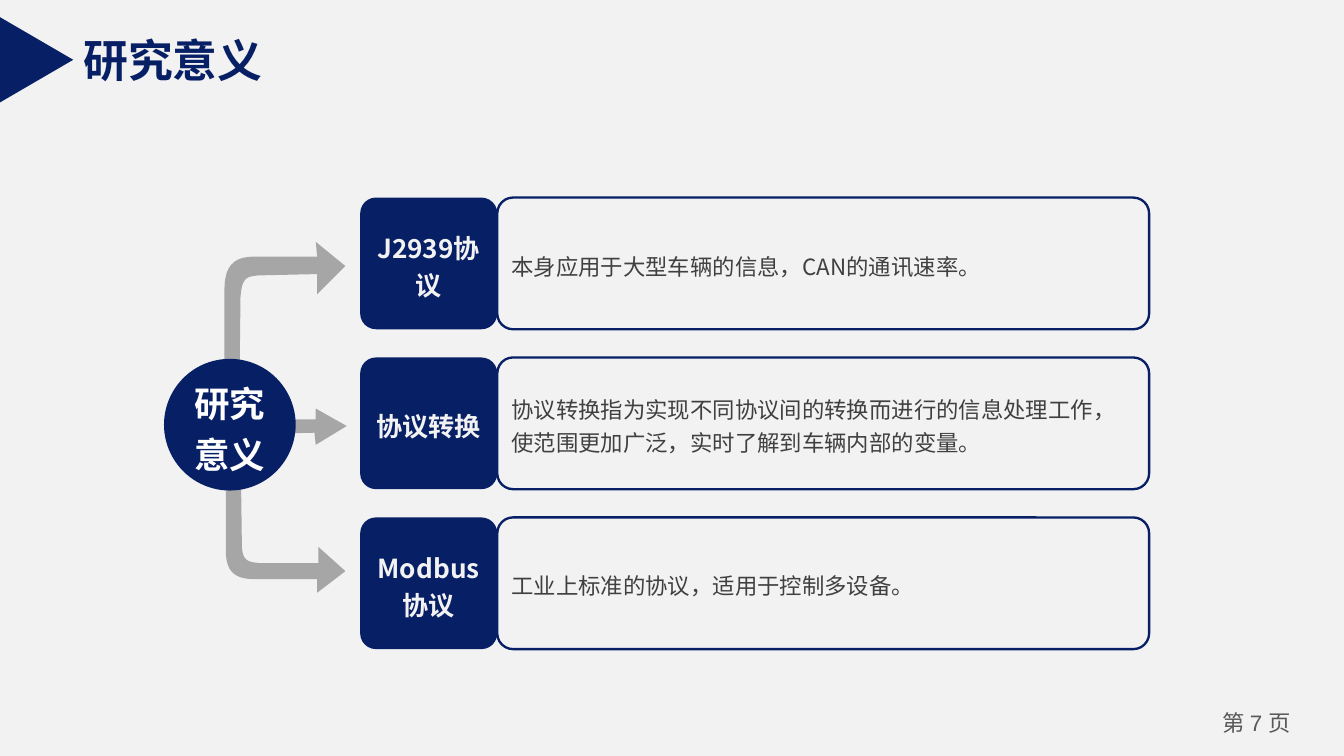
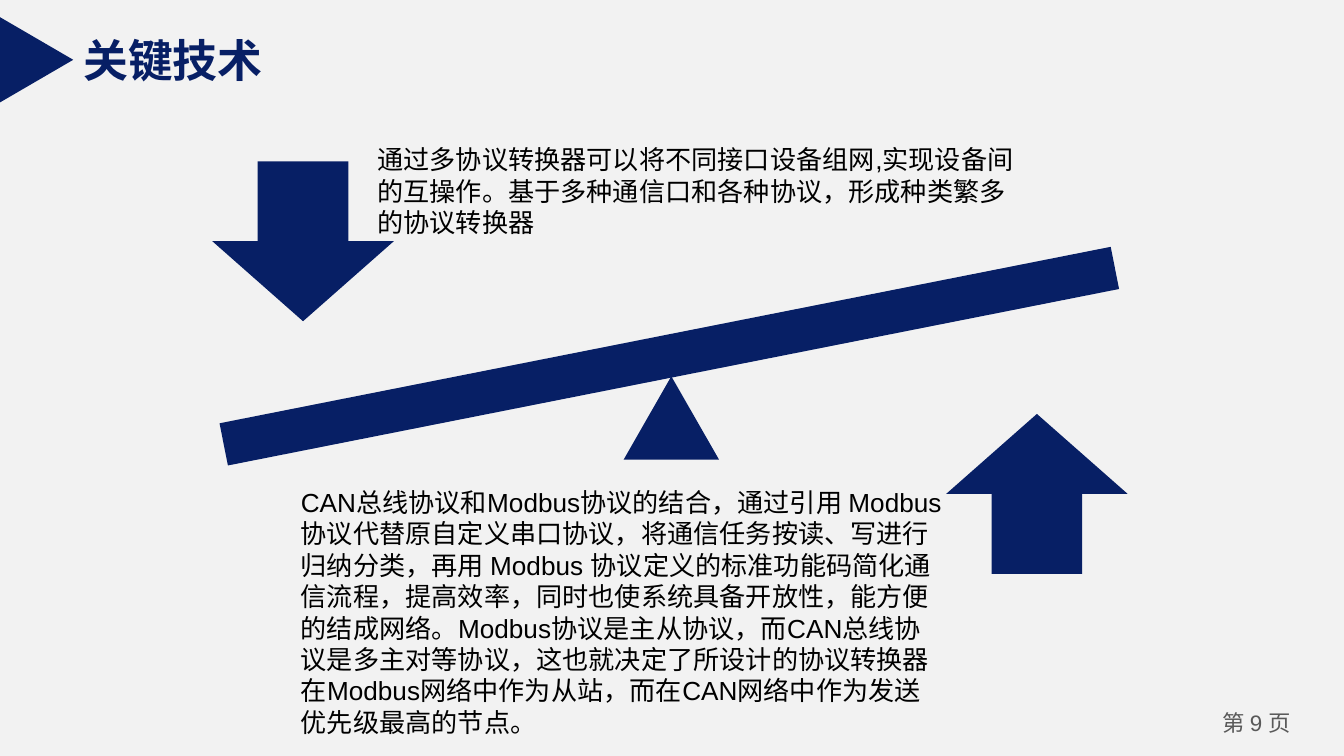
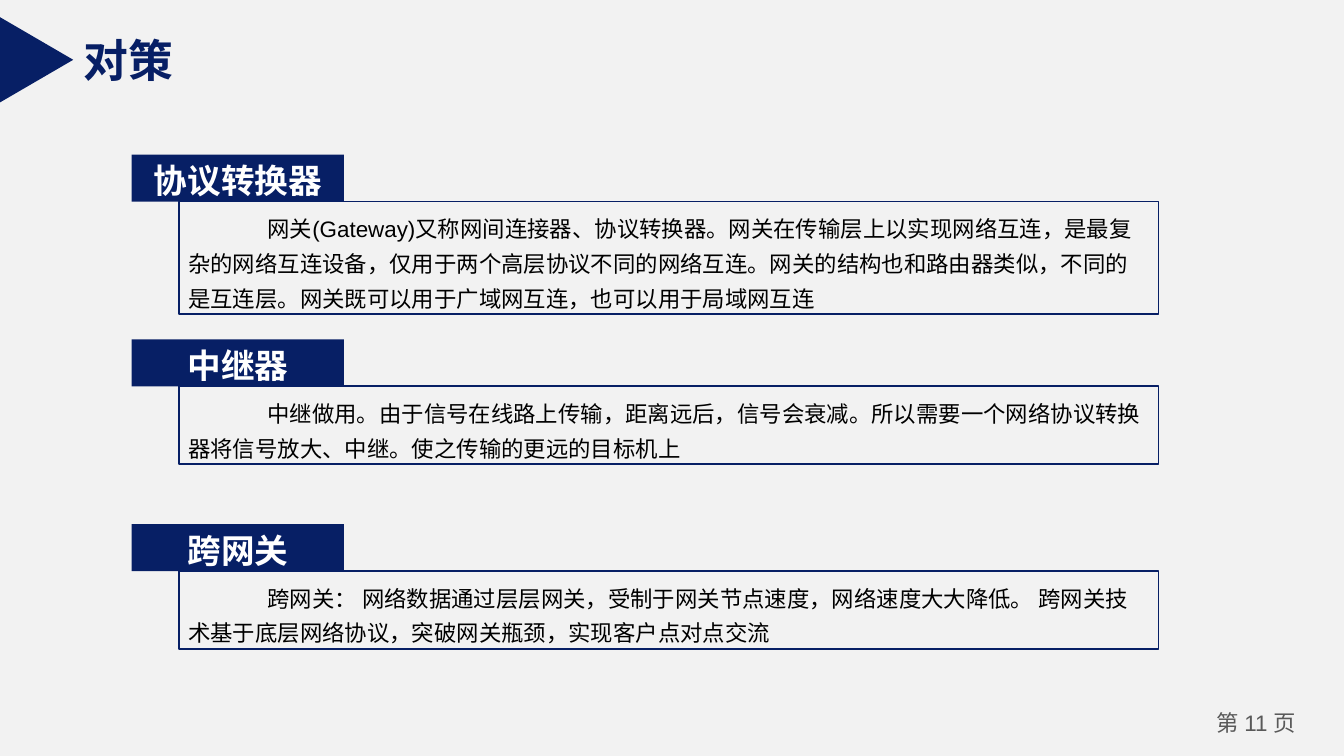
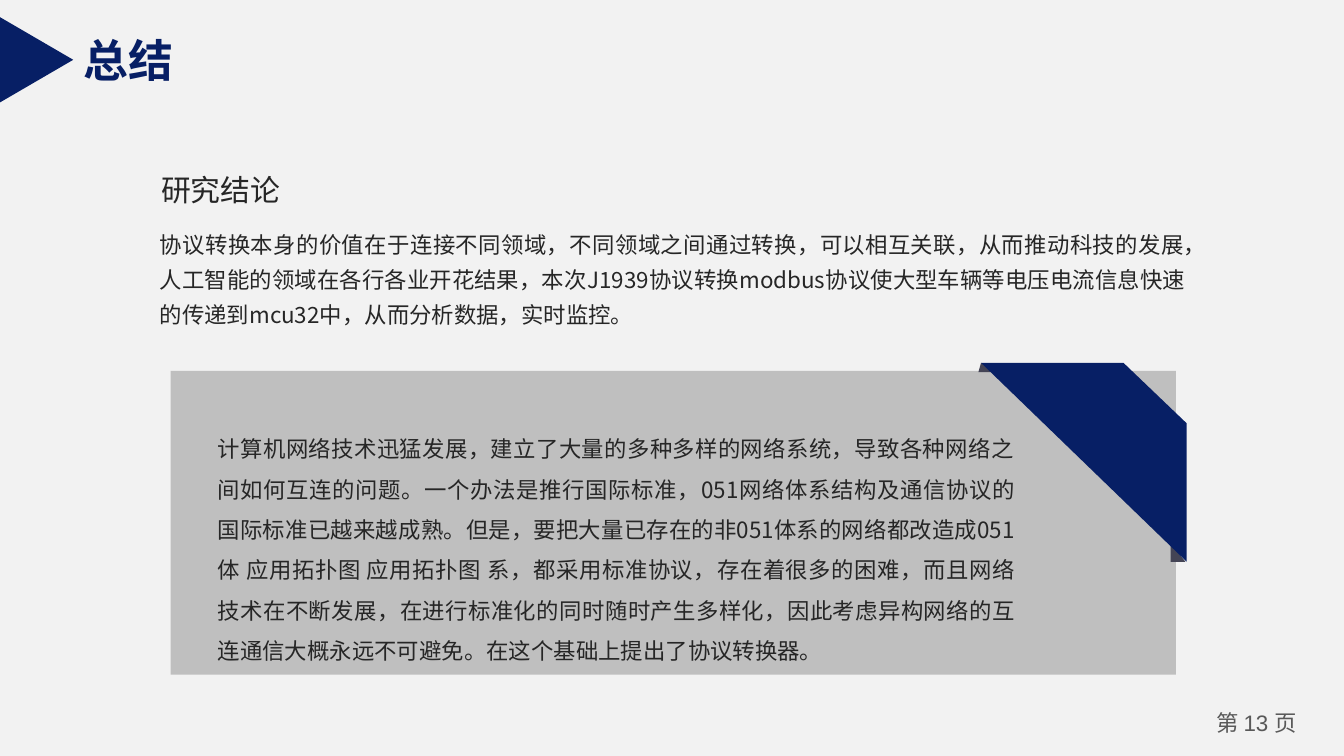
from pptx import Presentation
from pptx.dml.color import RGBColor
from pptx.enum.shapes import MSO_SHAPE
from pptx.enum.text import MSO_ANCHOR, MSO_AUTO_SIZE, PP_ALIGN
from pptx.oxml.ns import qn
from pptx.util import Inches, Pt

RECT = MSO_SHAPE.RECTANGLE
ROUND = MSO_SHAPE.ROUNDED_RECTANGLE
OVAL = MSO_SHAPE.OVAL
TRIANGLE = MSO_SHAPE.ISOSCELES_TRIANGLE
DOWN = MSO_SHAPE.DOWN_ARROW
UP = MSO_SHAPE.UP_ARROW
TOP, MIDDLE = MSO_ANCHOR.TOP, MSO_ANCHOR.MIDDLE
GROW, FIXED = MSO_AUTO_SIZE.SHAPE_TO_FIT_TEXT, MSO_AUTO_SIZE.NONE
LEFT, CENTER, JUSTIFY = PP_ALIGN.LEFT, PP_ALIGN.CENTER, PP_ALIGN.JUSTIFY

COLORS = {
    "navy": "071F65",
    "paper": "F2F2F2",
    "white": "FFFFFF",
    "black": "000000",
    "ink": "262626",
    "text": "404040",
    "foot": "595959",
    "arrow": "A6A6A6",
    "panel": "BFBFBF",
    "fold": "444455",
}
ARIAL = "Arial"
NOTO = "Noto Sans CJK SC"
WIDE = (0.1, 0.05)
SLIM = (0.07, 0.04)
TIGHT = (0.07, 0.03)
TAG = (0.06, 0.03)


def color(name):
    """Return the named colour."""
    return RGBColor.from_string(COLORS[name])


def write(shape, runs, size=12, ink="black", font=NOTO, bold=False, align=LEFT,
          anchor=TOP, inset=WIDE, lines=None, indent=0, wrap=True, grow=False):
    """Write a string, or (string, font) pairs, as one paragraph in a shape."""
    frame = shape.text_frame
    frame.word_wrap = wrap
    frame.auto_size = GROW if grow else FIXED
    frame.vertical_anchor = anchor
    frame.margin_left = frame.margin_right = Inches(inset[0])
    frame.margin_top = frame.margin_bottom = Inches(inset[1])
    para = frame.paragraphs[0]
    para.alignment = align
    if lines:
        para.line_spacing = lines
    if indent:
        para._p.get_or_add_pPr().set("indent", str(Inches(indent)))
    for text, face in [(runs, font)] if isinstance(runs, str) else runs:
        run = para.add_run()
        run.text = text
        run.font.size = Pt(size)
        run.font.bold = bold
        run.font.name = face
        run.font.color.rgb = color(ink)
        east = run._r.get_or_add_rPr().makeelement(qn("a:ea"), {"typeface": NOTO})
        run.font._element.find(qn("a:latin")).addnext(east)


def paint(shape, fill=None, line=None, weight=1):
    """Set fill and outline, and drop the shadow."""
    shape.shadow.inherit = False
    if fill:
        shape.fill.solid()
        shape.fill.fore_color.rgb = color(fill)
    else:
        shape.fill.background()
    if line:
        shape.line.color.rgb = color(line)
        shape.line.width = Pt(weight)
    else:
        shape.line.fill.background()


def draw(slide, kind, box, turn=0, round_by=None, **look):
    """Add a preset shape; box is left, top, width, height in inches."""
    shape = slide.shapes.add_shape(kind, *map(Inches, box))
    shape.rotation = turn
    if round_by:
        shape.adjustments[0] = round_by
    paint(shape, **look)
    return shape


def label(slide, box, text, **style):
    """Add a text box."""
    write(slide.shapes.add_textbox(*map(Inches, box)), text, **style)


def curve(start, bend, steps=10):
    """Return points on a cubic curve from start; bend holds x, y three times."""
    ends = [start, bend[:2], bend[2:4], bend[4:]]
    points = []
    for step in range(1, steps + 1):
        t = step / steps
        parts = ((1 - t) ** 3, 3 * t * (1 - t) ** 2, 3 * t * t * (1 - t), t ** 3)
        points.append(tuple(sum(w * end[axis] for w, end in zip(parts, ends))
                            for axis in (0, 1)))
    return points


def outline(slide, nodes, fill):
    """Draw a closed outline; a node of two is a corner, of six a curve."""
    points = [nodes[0]]
    for node in nodes[1:]:
        points += [node] if len(node) == 2 else curve(points[-1], node)
    first, *rest = [(Inches(x), Inches(y)) for x, y in points]
    pen = slide.shapes.build_freeform(*first)
    pen.add_line_segments(rest, close=True)
    paint(pen.convert_to_shape(), fill)


def start(prs, title, page):
    """Add a slide with its title, corner mark and page number."""
    slide = prs.slides.add_slide(prs.slide_layouts[5])
    head = slide.shapes.title
    head.left, head.top = Inches(0.52), Inches(0.19)
    head.width, head.height = Inches(0.22 + 0.33 * len(title)), Inches(0.5)
    write(head, title, size=24, ink="navy", font=ARIAL, bold=True,
          wrap=False, grow=True)
    draw(slide, TRIANGLE, (-0.05, 0.17, 0.64, 0.55), turn=90, fill="navy")
    label(slide, (8.9, 5.24, 0.9, 0.3),
          [("第 ", NOTO), (f"{page} ", ARIAL), ("页", NOTO)],
          ink="foot", align=CENTER, inset=SLIM)
    return slide


def meaning(prs):
    """Build the slide with a hub and three branches."""
    slide = start(prs, "研究意义", 7)
    arrows = [
        [(1.79, 3.31), (1.8, 4.05), (1.8, 4.18, 1.85, 4.18, 1.93, 4.19),
         (2.37, 4.19), (2.37, 4.07), (2.57, 4.25), (2.36, 4.41), (2.36, 4.31),
         (1.9, 4.31), (1.73, 4.31, 1.68, 4.24, 1.68, 4.09), (1.68, 3.29),
         (1.69, 3.16, 1.76, 3.17, 1.79, 3.31)],
        [(1.51, 3.24), (2.34, 3.22), (2.35, 3.31), (2.58, 3.17), (2.35, 3.04),
         (2.35, 3.12), (1.51, 3.12)],
        [(1.78, 3.07), (1.79, 2.21), (1.8, 2.06, 1.84, 2.06, 1.92, 2.05),
         (2.36, 2.04), (2.36, 2.19), (2.57, 1.98), (2.35, 1.8), (2.36, 1.91),
         (1.89, 1.91), (1.73, 1.91, 1.67, 1.99, 1.67, 2.16), (1.67, 3.09),
         (1.69, 3.24, 1.76, 3.23, 1.78, 3.07)],
    ]
    for nodes in arrows:
        outline(slide, nodes, "arrow")
    rows = [
        ("J2939协议", "本身应用于大型车辆的信息，CAN的通讯速率。"),
        ("协议转换", "协议转换指为实现不同协议间的转换而进行的信息处理工作，"
                 "使范围更加广泛，实时了解到车辆内部的变量。"),
        ("Modbus协议", "工业上标准的协议，适用于控制多设备。"),
    ]
    style = dict(anchor=MIDDLE, lines=1.2)
    for row, (name, text) in enumerate(rows):
        top = 1.47 + 1.19 * row
        card = draw(slide, ROUND, (3.7, top, 4.85, 0.98), round_by=0.12,
                    line="navy", weight=1.25)
        write(card, text, ink="text", inset=TIGHT, **style)
        tag = draw(slide, ROUND, (2.68, top, 1.02, 0.98), round_by=0.12, fill="navy")
        write(tag, name, size=14, ink="paper", bold=True, align=CENTER,
              inset=TAG, **style)
    hub = draw(slide, OVAL, (1.22, 2.67, 0.98, 0.98), fill="navy")
    write(hub, "研究意义", size=19, ink="white", font=ARIAL, bold=True,
          align=CENTER, inset=TIGHT, **style)


def method(prs):
    """Build the slide with the seesaw."""
    slide = start(prs, "关键技术", 9)
    draw(slide, RECT, (1.6, 2.49, 6.76, 0.32), turn=348.8, fill="navy")
    draw(slide, DOWN, (1.58, 1.2, 1.35, 1.19), fill="navy")
    draw(slide, UP, (7.04, 3.08, 1.35, 1.19), fill="navy")
    draw(slide, TRIANGLE, (4.64, 2.8, 0.71, 0.62), fill="navy")
    style = dict(size=14, font=ARIAL, grow=True)
    label(slide, (2.14, 3.57, 5, 1.99),
          "CAN总线协议和Modbus协议的结合，通过引用 Modbus 协议代替原自定义串口协议，"
          "将通信任务按读、写进行归纳分类，再用 Modbus 协议定义的标准功能码简化通信流程，"
          "提高效率，同时也使系统具备开放性，能方便的结成网络。Modbus协议是主从协议，"
          "而CAN总线协议是多主对等协议，这也就决定了所设计的协议转换器在Modbus网络中"
          "作为从站，而在CAN网络中作为发送优先级最高的节点。", **style)
    label(slide, (2.71, 1.02, 5, 0.81),
          "通过多协议转换器可以将不同接口设备组网,实现设备间的互操作。"
          "基于多种通信口和各种协议，形成种类繁多的协议转换器", **style)


def answer(prs):
    """Build the slide with three tagged boxes."""
    slide = start(prs, "对策", 11)
    rows = [
        ("协议转换器", 0.84,
         "网关(Gateway)又称网间连接器、协议转换器。网关在传输层上以实现网络互连，"
         "是最复杂的网络互连设备，仅用于两个高层协议不同的网络互连。网关的结构也和"
         "路由器类似，不同的是互连层。网关既可以用于广域网互连，也可以用于局域网互连"),
        ("中继器", 0.58,
         "中继做用。由于信号在线路上传输，距离远后，信号会衰减。所以需要一个网络协议"
         "转换器将信号放大、中继。使之传输的更远的目标机上"),
        ("跨网关", 0.58,
         "跨网关：\u00a0网络数据通过层层网关，受制于网关节点速度，网络速度大大降低。 "
         "跨网关技术基于底层网络协议，突破网关瓶颈，实现客户点对点交流"),
    ]
    for row, (name, height, text) in enumerate(rows):
        top = 1.15 + 1.375 * row
        box = draw(slide, RECT, (1.33, top + 0.35, 7.29, height),
                   fill="paper", line="navy")
        write(box, text, font=ARIAL, inset=SLIM, lines=1.3, indent=0.59, grow=True)
        tag = draw(slide, RECT, (0.98, top, 1.58, 0.35), fill="navy")
        write(tag, name, size=18, ink="white", bold=True, align=CENTER, inset=SLIM)


def closing(prs):
    """Build the summary slide with a ribbon on its panel."""
    slide = start(prs, "总结", 13)
    style = dict(ink="ink", grow=True)
    label(slide, (1.09, 1.61, 7.83, 0.89),
          "协议转换本身的价值在于连接不同领域，不同领域之间通过转换，可以相互关联，"
          "从而推动科技的发展，人工智能的领域在各行各业开花结果，本次J1939协议转换"
          "modbus协议使大型车辆等电压电流信息快速的传递到mcu32中，从而分析数据，"
          "实时监控。", align=JUSTIFY, lines=1.3, **style)
    label(slide, (1.1, 1.23, 1.1, 0.37), "研究结论", size=16, wrap=False, **style)
    draw(slide, RECT, (1.27, 2.76, 7.48, 2.26), fill="panel")
    label(slide, (1.55, 3.1, 6.07, 1.86),
          "计算机网络技术迅猛发展，建立了大量的多种多样的网络系统，导致各种网络之间"
          "如何互连的问题。一个办法是推行国际标准，051网络体系结构及通信协议的国际标准"
          "已越来越成熟。但是，要把大量已存在的非051体系的网络都改造成051体 "
          "应用拓扑图 应用拓扑图 系，都采用标准协议，存在着很多的困难，而且网络技术在"
          "不断发展，在进行标准化的同时随时产生多样化，因此考虑异构网络的互连通信大概"
          "永远不可避免。在这个基础上提出了协议转换器。",
          align=JUSTIFY, inset=SLIM, lines=1.5, **style)
    outline(slide, [(8.82, 4.18), (8.71, 4.18), (8.71, 4.04)], "fold")
    outline(slide, [(7.3, 2.7), (7.28, 2.77), (7.41, 2.77)], "fold")
    outline(slide, [(7.3, 2.7), (8.83, 4.18), (8.83, 3.15), (8.36, 2.7)], "navy")


def main():
    """Build and save the slides."""
    prs = Presentation()
    prs.slide_width = Inches(10)
    prs.slide_height = prs.slide_width * 9 // 16
    back = prs.slide_master.background.fill
    back.solid()
    back.fore_color.rgb = color("paper")
    for build in (meaning, method, answer, closing):
        build(prs)
    prs.save("out.pptx")


main()
